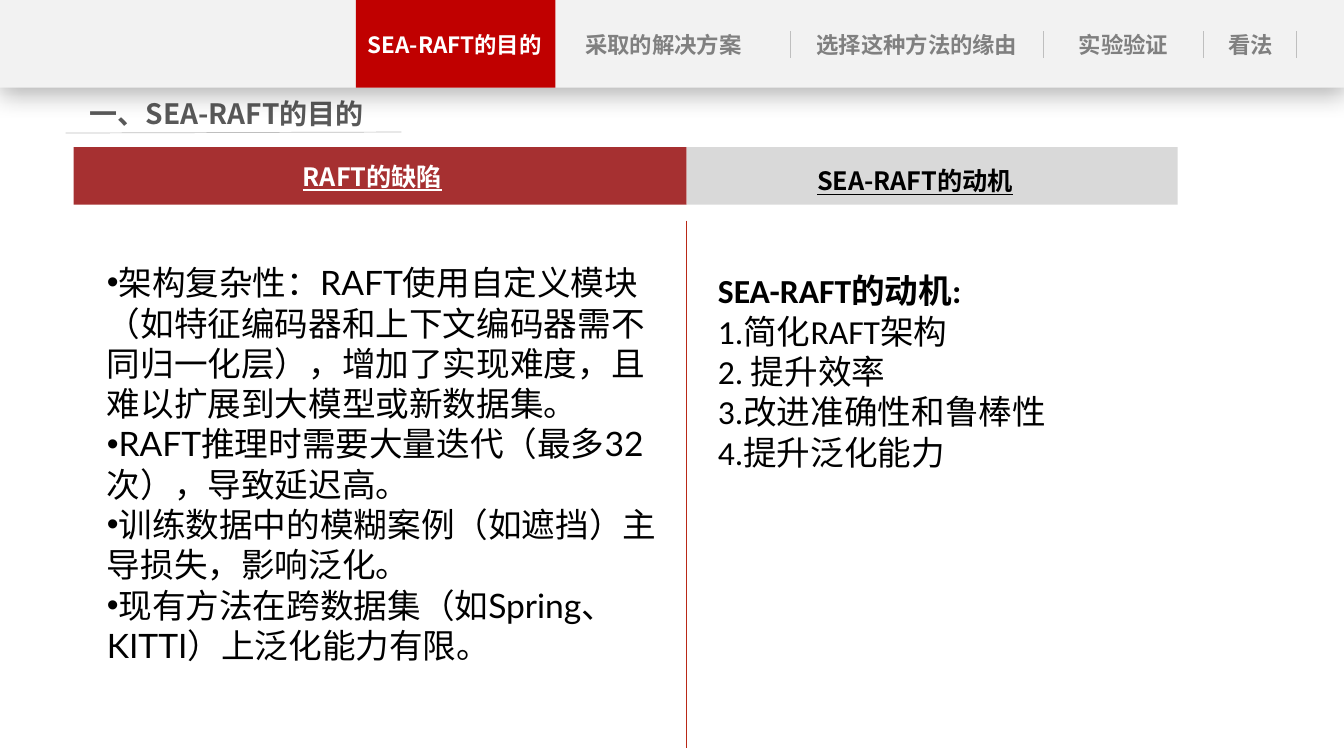
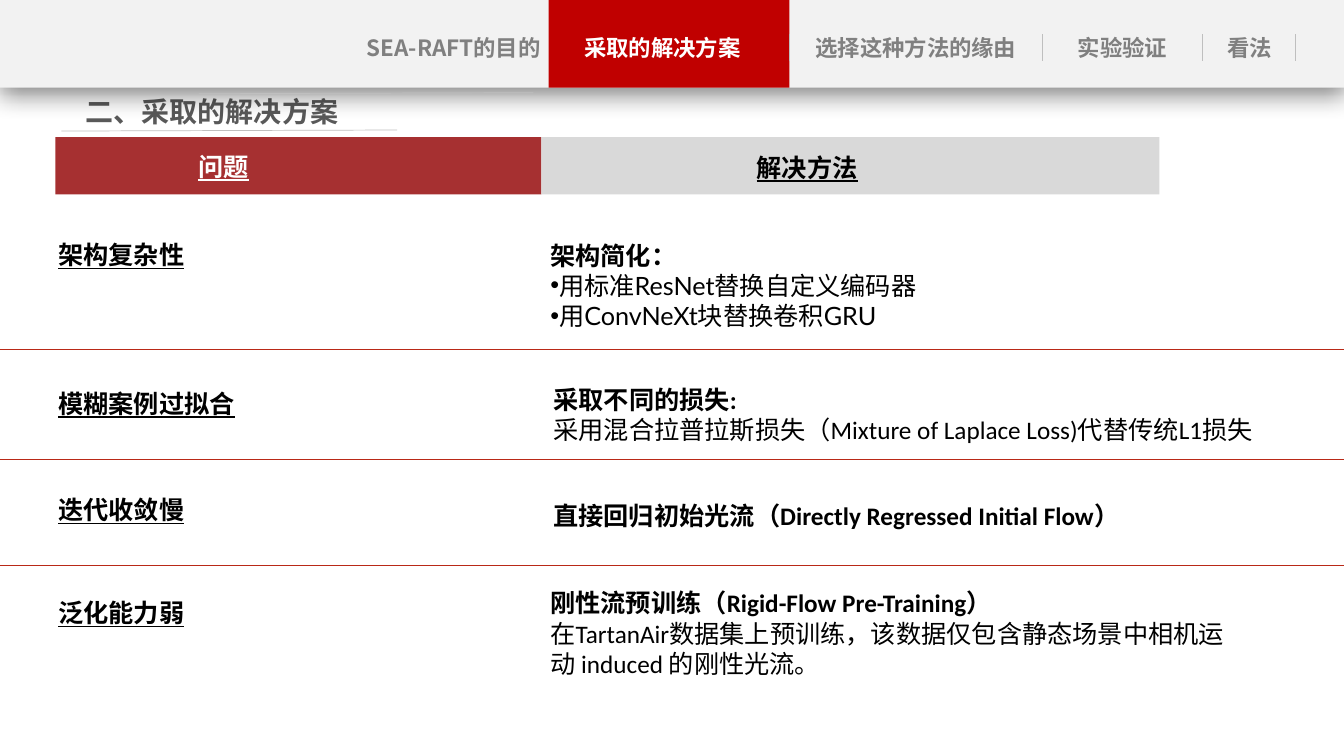
from lxml.etree import SubElement
from pptx import Presentation
from pptx.dml.color import RGBColor
from pptx.enum.shapes import MSO_CONNECTOR, MSO_SHAPE
from pptx.enum.text import MSO_ANCHOR, MSO_AUTO_SIZE, PP_ALIGN
from pptx.oxml.ns import qn
from pptx.util import Inches, Pt

WIDTH, HEIGHT, BAND_HEIGHT = 13.33, 7.5, 0.87
CJK = "Noto Sans CJK SC"
COLORS = {"active": "C00000", "band": "F2F2F2", "problem": "A63031", "answer": "D9D9D9",
          "rule": "BFBFBF", "divider": "B92917", "title": "595959", "muted": "808080",
          "white": "FFFFFF", "black": "000000"}

TABS = [("SEA-RAFT的目的", 3.6, 1.82), ("采取的解决方案", 5.76, 1.64),
        ("选择这种方法的缘由", 8.06, 2.07), ("实验验证", 10.53, 1.23), ("看法", 12.02, 0.77)]
TAB_SEPARATORS = [7.84, 10.35, 11.94, 12.86]

PURPOSE = {
    "title": "一、SEA-RAFT的目的", "title_at": (0.89, 0.91),
    "active": 0, "active_span": (3.53, 1.98), "tab_shift": (0, 0), "shadow": 29,
    "bars": (0.73, 6.81, 11.68), "bar_top": 1.46,
    "heads": [("RAFT的缺陷", 2.09, 1.55), ("SEA-RAFT的动机", 7.47, 1.59)],
}
SOLUTION = {
    "title": "二、采取的解决方案", "title_at": (0.85, 0.89),
    "active": 1, "active_span": (5.44, 2.39), "tab_shift": (-0.01, 0.03), "shadow": 50,
    "bars": (0.55, 5.37, 11.5), "bar_top": 1.36,
    "heads": [("问题", 0.61, 1.45), ("解决方法", 6.4, 1.46)],
}
DEFECTS = [
    "架构复杂性：RAFT使用自定义模块（如特征编码器和上下文编码器需不同归一化层），增加了实现难度，且难以扩展到大模型或新数据集。",
    "RAFT推理时需要大量迭代（最多32次），导致延迟高。",
    "训练数据中的模糊案例（如遮挡）主导损失，影响泛化。",
    "现有方法在跨数据集（如Spring、KITTI）上泛化能力有限。",
]
MOTIVES = ["SEA-RAFT的动机:", "1.简化RAFT架构", "2. 提升效率", "3.改进准确性和鲁棒性", "4.提升泛化能力"]
ROWS = [
    ("架构复杂性", 2.33, (5.36, 2.33, 6.93, 1.01), "Lato", True,
     ["架构简化：", "用标准ResNet替换自定义编码器", "用ConvNeXt块替换卷积GRU"]),
    ("模糊案例过拟合", 3.8, (5.39, 3.76, 7.39, 0.71), "Calibri", False,
     ["采取不同的损失:", "采用混合拉普拉斯损失（Mixture of Laplace Loss)代替传统L1损失"]),
    ("迭代收敛慢", 4.86, (5.39, 4.91, 6.93, 0.4), "Calibri", False,
     ["直接回归初始光流（Directly Regressed Initial Flow）"]),
    ("泛化能力弱", 5.88, (5.36, 5.78, 6.99, 1.01), "Calibri", False,
     ["刚性流预训练（Rigid-Flow Pre-Training）",
      "在TartanAir数据集上预训练，该数据仅包含静态场景中相机运动 induced 的刚性光流。"]),
]
ROW_DIVIDERS = [3.47, 4.56, 5.61]


def rgb(name):
    return RGBColor.from_string(COLORS[name])


def add_block(page, left, top, width, height, color):
    block = page.shapes.add_shape(MSO_SHAPE.RECTANGLE, *map(Inches, (left, top, width, height)))
    block.shadow.inherit = False
    block.fill.solid()
    block.fill.fore_color.rgb = rgb(color)
    block.line.fill.background()
    return block


def add_rule(page, start, end, color):
    rule = page.shapes.add_connector(MSO_CONNECTOR.STRAIGHT, *map(Inches, (*start, *end)))
    rule.line.color.rgb = rgb(color)
    rule.line.width = Pt(0.5)
    SubElement(rule.element.spPr, qn("a:effectLst"))


def add_shadow(block, opacity):
    effects = block.element.spPr.find(qn("a:effectLst"))
    shadow = SubElement(effects, qn("a:outerShdw"), blurRad=str(Pt(18)), dist=str(Pt(4)),
                        dir="5400000", algn="t", rotWithShape="0")
    color = SubElement(shadow, qn("a:srgbClr"), val=COLORS["black"])
    SubElement(color, qn("a:alpha"), val=str(opacity * 1000))


def write(box, at, lines, size, font=CJK, color="black", bold=True, underline=False,
          align=PP_ALIGN.LEFT, inset=0.1, bulleted=(), plain_from=None):
    box.left, box.top, box.width, box.height = map(Inches, at)
    frame = box.text_frame
    frame.text = "\n".join(lines)
    frame.word_wrap = True
    frame.auto_size = MSO_AUTO_SIZE.NONE
    frame.vertical_anchor = MSO_ANCHOR.TOP
    frame.margin_left = frame.margin_right = Inches(inset)
    frame.margin_top = frame.margin_bottom = Inches(0.05)
    for index, para in enumerate(frame.paragraphs):
        para.alignment = align
        para.space_before = Pt(0)
        properties = para._p.get_or_add_pPr()
        properties.set("marL", "0")
        properties.set("indent", "0")
        if index in bulleted:
            SubElement(properties, qn("a:buFont"), typeface="Arial")
            SubElement(properties, qn("a:buChar"), char="•")
        else:
            SubElement(properties, qn("a:buNone"))
        for span in para.runs:
            span.font.size = Pt(size)
            span.font.name = font
            span.font.bold = bold and (plain_from is None or index < plain_from)
            span.font.underline = underline
            span.font.color.rgb = rgb(color)
            SubElement(span.font._element, qn("a:ea"), typeface=CJK)


def add_text(page, at, lines, size, **style):
    write(page.shapes.add_textbox(0, 0, 0, 0), at, lines, size, **style)


def add_navigation(page, content):
    shift_x, shift_y = content["tab_shift"]
    add_shadow(add_block(page, 0, 0, WIDTH, BAND_HEIGHT, "band"), content["shadow"])
    left, width = content["active_span"]
    add_block(page, left, 0, width, BAND_HEIGHT, "active")
    for x in TAB_SEPARATORS:
        add_rule(page, (x + shift_x, 0.31 + shift_y), (x + shift_x, 0.58 + shift_y), "rule")
    for index, (label, left, width) in enumerate(TABS):
        color = "white" if index == content["active"] else "muted"
        add_text(page, (left + shift_x, 0.26 + shift_y, width, 0.38), [label], 16,
                 color=color, align=PP_ALIGN.CENTER, inset=0)


def add_page(deck, layout, content):
    page = deck.slides.add_slide(deck.slide_layouts[layout])
    left, top = content["title_at"]
    write(page.shapes.title, (left, top, 3.49, 0.44), [content["title"]], 20,
          color="title", inset=0)
    add_rule(page, (left - 0.24, top + 0.41), (left + 3.09, top + 0.4), "rule")
    add_navigation(page, content)
    start, middle, end = content["bars"]
    add_block(page, start, content["bar_top"], middle - start, 0.57, "problem")
    add_block(page, middle, content["bar_top"], end - middle, 0.57, "answer")
    for (label, x, y), color in zip(content["heads"], ("white", "black")):
        add_text(page, (x, y, 3.21, 0.4), [label], 18, color=color,
                 underline=True, align=PP_ALIGN.CENTER)
    return page


def build_purpose(deck):
    page = add_page(deck, 3, PURPOSE)
    write(page.placeholders[1], (0.96, 2.55, 5.7, 4.14), DEFECTS, 24, font="Lato",
          bold=False, bulleted=range(len(DEFECTS)))
    write(page.placeholders[2], (7.02, 2.63, 5.39, 2.12), MOTIVES, 24, font="Calibri", plain_from=1)
    middle = PURPOSE["bars"][1]
    add_rule(page, (middle, 2.19), (middle, 7.42), "divider")


def build_solution(deck):
    page = add_page(deck, 5, SOLUTION)
    add_rule(page, (1.97, 0.93), (5.29, 0.92), "rule")
    for problem, top, at, font, listed, lines in ROWS:
        add_text(page, (0.48, top, 2.3, 0.4), [problem], 18, underline=True)
        add_text(page, at, lines, 18, font=font, plain_from=1,
                 bulleted=range(1, len(lines)) if listed else ())
    for y in ROW_DIVIDERS:
        add_rule(page, (0, y), (WIDTH, y), "divider")


def main():
    deck = Presentation()
    deck.slide_width, deck.slide_height = Inches(WIDTH), Inches(HEIGHT)
    build_purpose(deck)
    build_solution(deck)
    deck.save("out.pptx")


if __name__ == "__main__":
    main()
